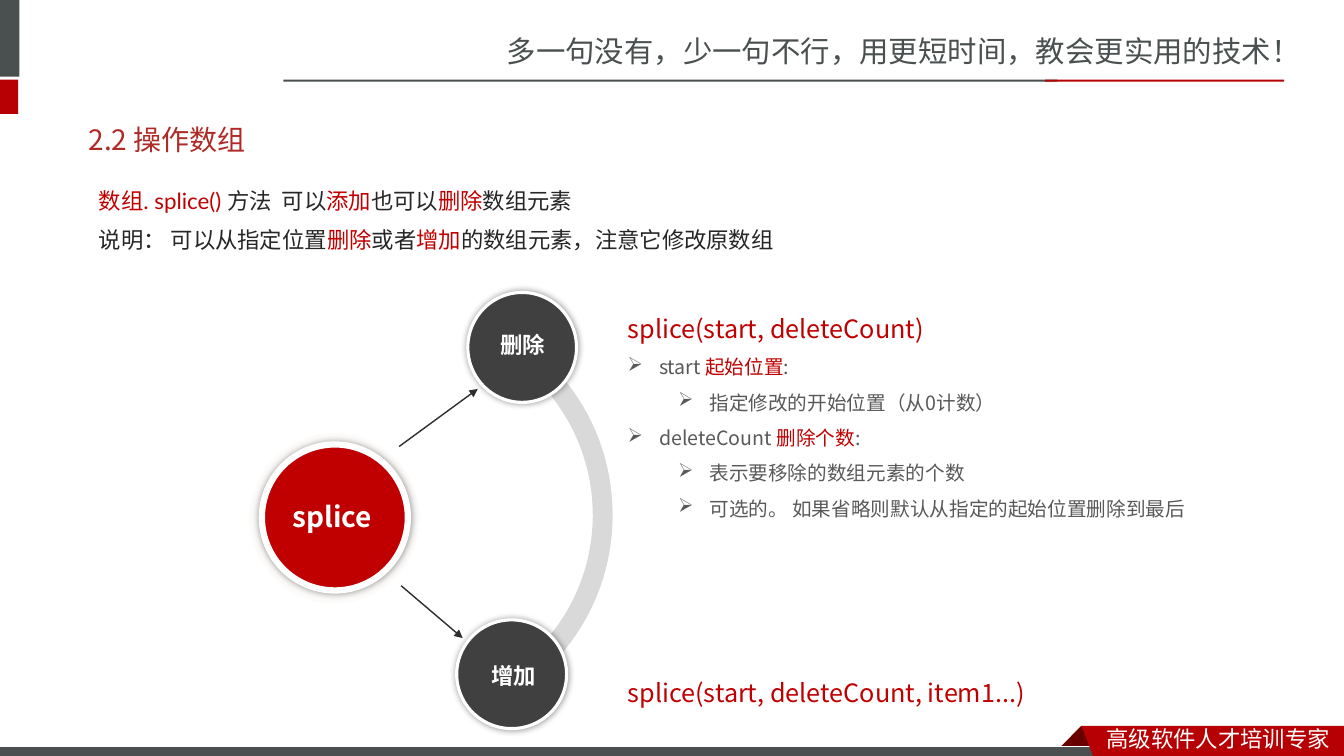
from lxml.etree import SubElement
from pptx import Presentation
from pptx.dml.color import RGBColor
from pptx.enum.shapes import MSO_CONNECTOR as LINK, MSO_SHAPE as SHAPE
from pptx.enum.text import MSO_ANCHOR as ANCHOR, PP_ALIGN as ALIGN
from pptx.oxml.ns import qn
from pptx.util import Cm, Pt

SANS = "Noto Sans CJK JP"
HAN = "Noto Sans CJK SC"
RED, DEEP, SLATE, WHITE, GREY = "C00000", "B60004", "49504F", "FFFFFF", "595959"


def tint(code):
    return RGBColor.from_string(code)


def paint(shape, fill, line=None, width=0.75):
    shape.shadow.inherit = False
    shape.fill.solid()
    shape.fill.fore_color.rgb = tint(fill)
    if line:
        shape.line.color.rgb = tint(line)
        shape.line.width = Pt(width)
    else:
        shape.line.fill.background()


def block(slide, kind, box, *style):
    shape = slide.shapes.add_shape(kind, *map(Cm, box))
    paint(shape, *style)
    return shape


def outline(slide, points, fill):
    spots = [(Cm(x), Cm(y)) for x, y in points]
    form = slide.shapes.build_freeform(*spots[0], scale=1.0)
    form.add_line_segments(spots[1:], close=True)
    paint(form.convert_to_shape(), fill)


def curve(a, b, c, d, steps=24):
    for i in range(steps + 1):
        t = i / steps
        u = 1 - t
        yield tuple(u**3 * p + 3 * u * u * t * q + 3 * u * t * t * r + t**3 * s
                    for p, q, r, s in zip(a, b, c, d))


def disc(slide, box, fill, width):
    shape = block(slide, SHAPE.OVAL, box, fill, WHITE, width)
    effect = shape._element.spPr.find(qn("a:effectLst"))
    glow = SubElement(effect, qn("a:outerShdw"), blurRad=str(Pt(5)), dist="0",
                      algn="ctr", rotWithShape="0")
    black = SubElement(glow, qn("a:srgbClr"), val="000000")
    SubElement(black, qn("a:alpha"), val="40000")


def arrow(slide, start, end):
    link = slide.shapes.add_connector(LINK.STRAIGHT, *map(Cm, start + end))
    link.line.color.rgb = tint("2E2C2C")
    link.line.width = Pt(1)
    SubElement(link.line._get_or_add_ln(), qn("a:tailEnd"), type="triangle")
    SubElement(link._element.spPr, qn("a:effectLst"))


def bullet(para, level):
    props = para._p.get_or_add_pPr()
    props.set("marL", str(Cm(0.79 + 1.27 * level)))
    props.set("indent", str(Cm(-0.79)))
    para.level = level
    SubElement(props, qn("a:buChar"), char="➢")


def write(para, text, size, color, face=SANS, bold=False, align=None):
    for i, part in enumerate(text.split("*")):
        if part:
            run = para.add_run()
            run.text = part
            if i % 2:
                run.font.color.rgb = tint(RED)
    if align is not None:
        para.alignment = align
    font = para.font
    font.size = Pt(size)
    font.bold = bold
    font.color.rgb = tint(color)
    font.name = face
    props = para._p.pPr.find(qn("a:defRPr"))
    SubElement(props, qn("a:ea"), typeface=HAN if face == "Lato" else face)


def frame(slide, box):
    text = slide.shapes.add_textbox(*map(Cm, box)).text_frame
    text.word_wrap = True
    return text


def label(slide, box, *style, **more):
    para = frame(slide, box).paragraphs[0]
    write(para, *style, **more)
    return para


def brand(slide):
    label(slide, (12.52, 0.71, 21.36, 1.19),
          "多一句没有，少一句不行，用更短时间，教会更实用的技术！", 21, SLATE, HAN)
    for box, fill in [((-0.15, 0, 0.64, 1.93), SLATE),
                      ((-0.15, 2.01, 0.61, 0.86), DEEP),
                      ((7.14, 2.01, 19.51, 0.05), SLATE),
                      ((26.34, 2.01, 6.02, 0.05), DEEP)]:
        block(slide, SHAPE.RECTANGLE, box, fill)
    outline(slide, [(27.25, 18.29), (27.81, 18.85), (27.79, 18.87),
                    (26.72, 18.87), (26.7, 18.85)], "680000")
    block(slide, SHAPE.RECTANGLE, (-0.03, 18.82, 27.94, 0.3), SLATE, WHITE)
    outline(slide, [(27.25, 18.29), (33.87, 18.29), (33.87, 19.15),
                    (27.58, 19.13)], DEEP)
    label(slide, (27.64, 18.16, 6.22, 0.94), "高级软件人才培训专家", 16, WHITE, HAN)


def head(slide):
    title = slide.shapes.title
    title.left, title.top, title.width, title.height = map(
        Cm, (1.98, 2.79, 29.85, 1.45))
    title.text_frame.vertical_anchor = ANCHOR.MIDDLE
    write(title.text_frame.paragraphs[0], "2.2 操作数组", 20, "AD2A26",
          align=ALIGN.LEFT)


def usage(slide):
    text = frame(slide, (15.57, 7.39, 17.63, 7.7))
    para = text.paragraphs[0]
    para.line_spacing = 1.5
    write(para, "splice(start, deleteCount)", 18, RED, align=ALIGN.JUSTIFY)
    for level, line in [(0, "start *起始位置*:"),
                        (1, "指定修改的开始位置（从0计数）"),
                        (0, "deleteCount *删除个数*:"),
                        (1, "表示要移除的数组元素的个数"),
                        (1, "可选的。 如果省略则默认从指定的起始位置删除到最后")]:
        para = text.add_paragraph()
        para.line_spacing = 1.5
        bullet(para, level)
        write(para, line, 14, GREY)
    para = label(slide, (15.57, 16.56, 13.69, 1.42),
                 "splice(start, deleteCount, item1...)", 18, RED,
                 align=ALIGN.JUSTIFY)
    para.line_spacing = 1.5


def graph(slide):
    block(slide, SHAPE.OVAL, (6.27, 10.9, 4.32, 4.32), "FCFBF9", WHITE)
    ring = [((12.55, 8.79), (13.97, 9.65), (14.94, 11.2), (14.94, 12.98)),
            ((14.94, 12.98), (14.94, 14.73), (14, 16.26), (12.62, 17.09)),
            ((12.88, 17.55), (14.43, 16.61), (15.44, 14.91), (15.44, 12.98)),
            ((15.44, 12.98), (15.44, 11), (14.38, 9.27), (12.8, 8.36))]
    outline(slide, [spot for part in ring for spot in curve(*part)], "D9D9D9")
    arrow(slide, (10.06, 11.25), (12.04, 9.8))
    arrow(slide, (10.11, 14.76), (11.66, 16.08))
    for disk, fill, width, box, name, size in [
            ((6.6, 11.2, 3.68, 3.68), RED, 4.5,
             (6.86, 12.47, 3.02, 1.12), "splice", 20),
            ((11.79, 7.37, 2.74, 2.77), "404040", 2.25,
             (12.19, 8.23, 1.98, 0.94), "删除", 16),
            ((11.51, 15.62, 2.77, 2.74), "404040", 2.25,
             (11.96, 16.56, 1.98, 0.94), "增加", 16)]:
        disc(slide, disk, fill, width)
        label(slide, box, name, size, WHITE, bold=True, align=ALIGN.CENTER)


def intro(slide):
    text = frame(slide, (2.24, 4.39, 29.77, 2.59))
    first, second = text.paragraphs[0], text.add_paragraph()
    second.space_before = Pt(3)
    for para, line in [
            (first, "*数组. splice() *方法  可以*添加*也可以*删除*数组元素"),
            (second, "说明： 可以从指定位置*删除*或者*增加*的数组元素，注意它修改原数组")]:
        para.line_spacing = 1.3
        write(para, line, 16, "262626", "Lato")


def main():
    deck = Presentation()
    deck.slide_width, deck.slide_height = Cm(33.87), Cm(19.05)
    slide = deck.slides.add_slide(deck.slide_layouts[5])
    brand(slide)
    head(slide)
    usage(slide)
    graph(slide)
    intro(slide)
    deck.save("out.pptx")


if __name__ == "__main__":
    main()
